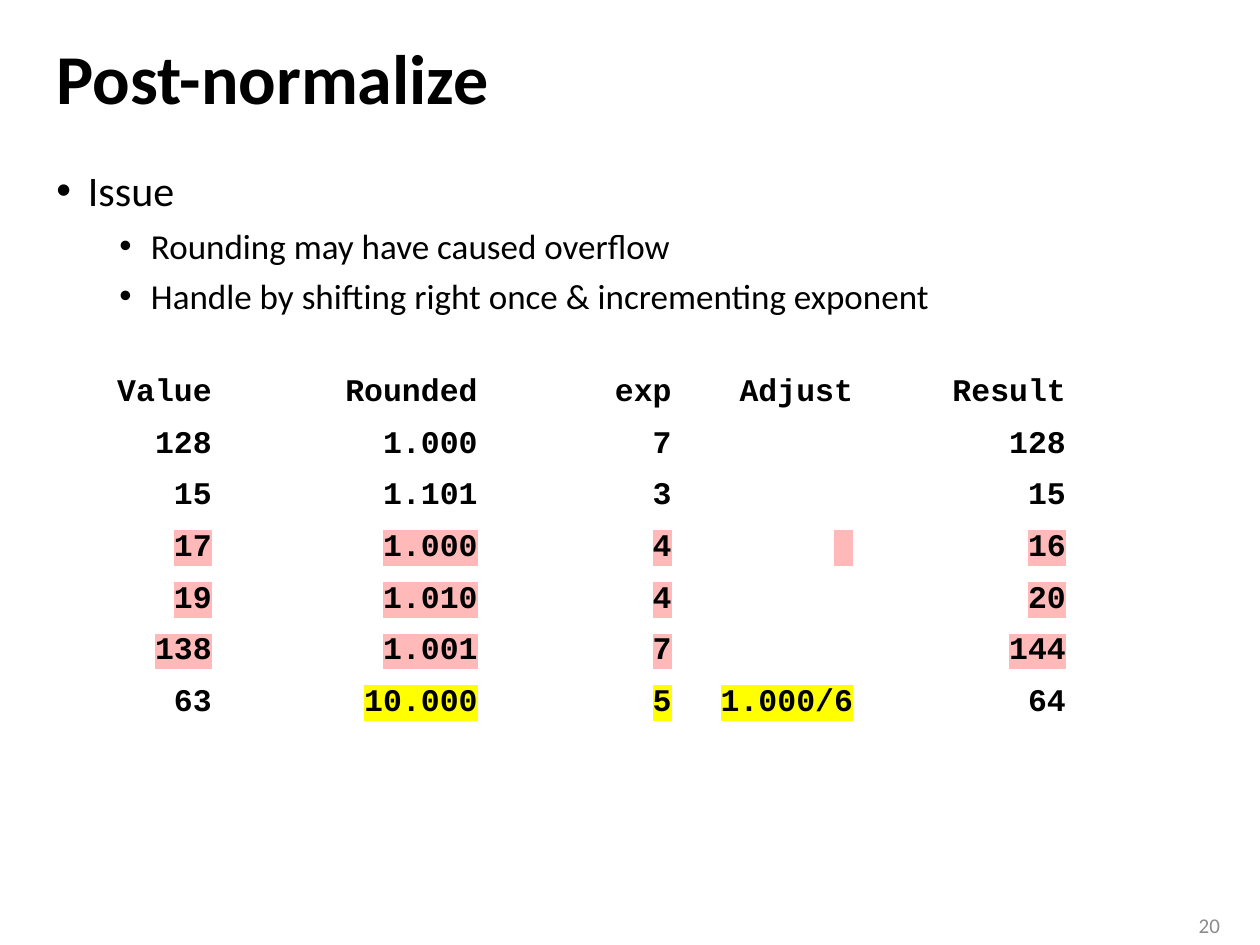
import pptx
import pptx.dml.color
import pptx.enum.text
import pptx.oxml.ns
import pptx.util
from lxml import etree

Inches, Pt = pptx.util.Inches, pptx.util.Pt
RGBColor = pptx.dml.color.RGBColor
ALIGN, ANCHOR = pptx.enum.text.PP_ALIGN, pptx.enum.text.MSO_ANCHOR

BLACK = RGBColor(0x00, 0x00, 0x00)
GRAY = RGBColor(0x8C, 0x8C, 0x8C)
PINK = RGBColor(0xFF, 0xB9, 0xB9)
YELLOW = RGBColor(0xFF, 0xFF, 0x00)

WIDTH, HEIGHT = 10, 7.5
MARGIN = 0.035 * WIDTH
CONTENT_WIDTH = WIDTH - 2 * MARGIN

BULLETS = [
    (0, "Issue"),
    (1, "Rounding may have caused overflow"),
    (1, "Handle by shifting right once & incrementing exponent"),
]
COLUMN_WIDTHS = [1.43, 2.11, 1.54, 1.44, 1.69]
ROW_HEIGHT = 0.41
# Each row: cell texts, highlight colour, highlighted columns
ROWS = [
    (["Value", "Rounded", "exp", "Adjust", "Result"], None, ()),
    (["128", "1.000", "7", "", "128"], None, ()),
    (["15", "1.101", "3", "", "15"], None, ()),
    (["17", "1.000", "4", " ", "16"], PINK, range(5)),
    (["19", "1.010", "4", "", "20"], PINK, range(5)),
    (["138", "1.001", "7", "", "144"], PINK, range(5)),
    (["63", "10.000", "5", "1.000/6", "64"], YELLOW, (1, 2, 3)),
]


def add_element(parent, tag, **attributes):
    return etree.SubElement(parent, pptx.oxml.ns.qn(tag), **attributes)


def set_font(para, size, name="Calibri", color=BLACK, bold=False):
    font = para.font
    font.size, font.name, font.bold = Pt(size), name, bold
    font.color.rgb = color


def add_box(page, left, top, width, height, anchor=ANCHOR.TOP):
    box = page.shapes.add_textbox(*map(Inches, (left, top, width, height)))
    frame = box.text_frame
    frame.word_wrap = True
    frame.vertical_anchor = anchor
    return frame


def add_bullets(frame, items):
    for index, (level, text) in enumerate(items):
        para = frame.add_paragraph() if index else frame.paragraphs[0]
        para.text = text
        para.level = level
        if index:
            para.space_before = Pt(5)
        properties = para._p.get_or_add_pPr()
        properties.set("marL", str(Inches(0.25 + 0.5 * level)))
        properties.set("indent", str(Inches(-0.25)))
        add_element(properties, "a:buFont", typeface="Arial")
        add_element(properties, "a:buChar", char="•")
        set_font(para, 24 - 4 * level)


def fill_cell(cell, text, highlight):
    cell.fill.background()
    para = cell.text_frame.paragraphs[0]
    para.alignment = ALIGN.RIGHT
    set_font(para, 18, "Courier New", bold=True)
    if text:
        span = para.add_run()
        span.text = text
        if highlight is not None:
            mark = add_element(span._r.get_or_add_rPr(), "a:highlight")
            add_element(mark, "a:srgbClr", val=str(highlight))


def add_rounding_table(page, left, top):
    table = page.shapes.add_table(
        len(ROWS), len(COLUMN_WIDTHS), Inches(left), Inches(top),
        Inches(sum(COLUMN_WIDTHS)), Inches(ROW_HEIGHT * len(ROWS))).table
    table.first_row = table.horz_banding = False
    for column, width in zip(table.columns, COLUMN_WIDTHS):
        column.width = Inches(width)
    for row, (texts, color, marked) in zip(table.rows, ROWS):
        row.height = Inches(ROW_HEIGHT)
        for index, (cell, text) in enumerate(zip(row.cells, texts)):
            fill_cell(cell, text, color if index in marked else None)


def main():
    deck = pptx.Presentation()
    deck.slide_width, deck.slide_height = Inches(WIDTH), Inches(HEIGHT)
    page = deck.slides.add_slide(deck.slide_layouts[6])

    # Title
    title = add_box(page, MARGIN, 0.19, CONTENT_WIDTH, 0.92, ANCHOR.MIDDLE)
    para = title.paragraphs[0]
    para.text = "Post-normalize"
    para.line_spacing = 0.9
    set_font(para, 40, bold=True)

    # Issue and its remedy
    add_bullets(add_box(page, MARGIN, 1.26, CONTENT_WIDTH, 5.83), BULLETS)

    # Slide number
    number = add_box(page, 9.27, 7.19, 0.51, 0.31, ANCHOR.MIDDLE)
    para = number.paragraphs[0]
    para.text = "20"
    para.alignment = ALIGN.RIGHT
    set_font(para, 12, color=GRAY)

    # Rounding examples
    add_rounding_table(page, MARGIN, 2.93)

    deck.save("out.pptx")


if __name__ == "__main__":
    main()
